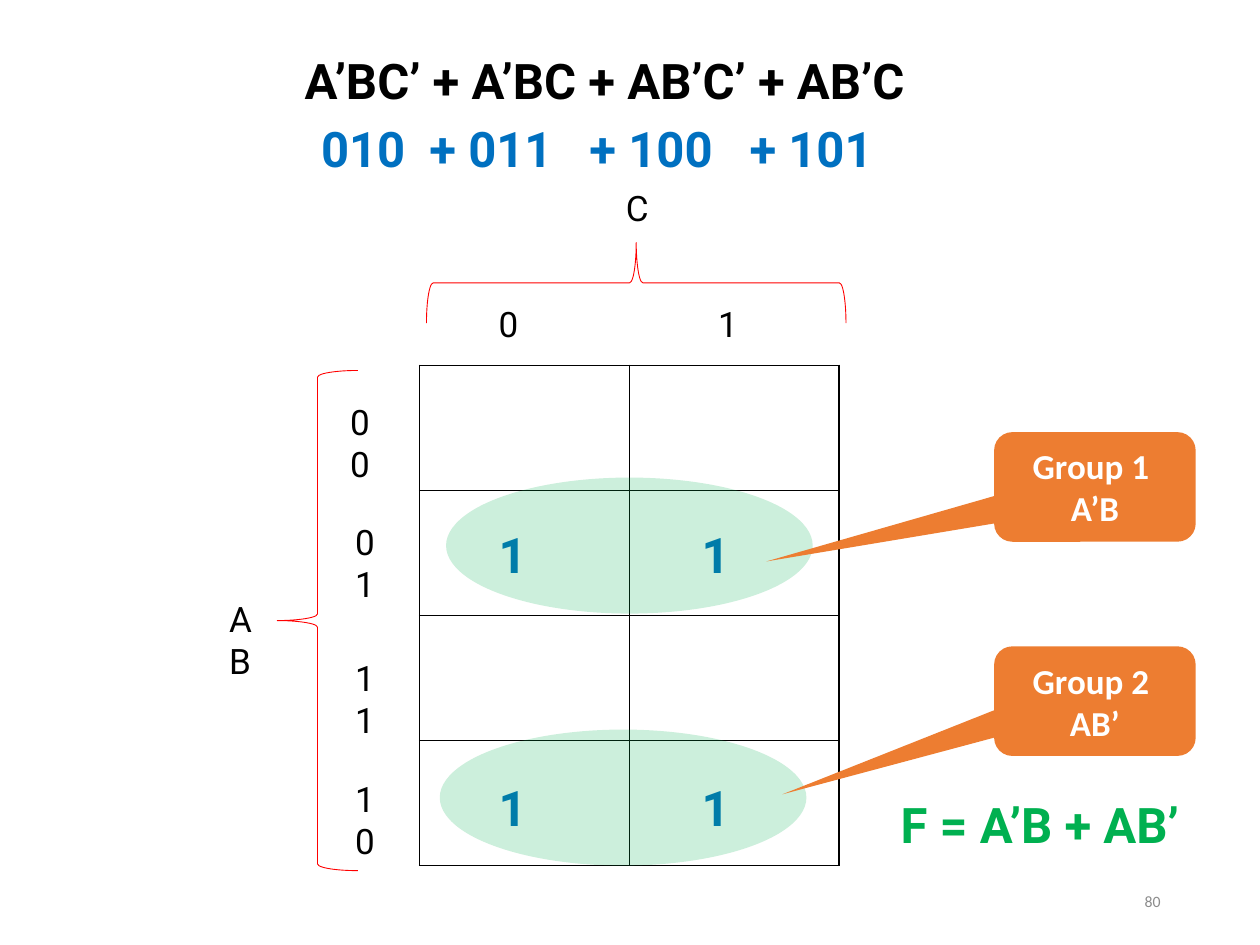
from lxml import etree
from pptx import Presentation
from pptx.dml.color import RGBColor
from pptx.enum.shapes import MSO_SHAPE
from pptx.enum.text import MSO_ANCHOR, PP_ALIGN
from pptx.oxml.ns import qn
from pptx.util import Inches, Pt

LEFT, CENTER, RIGHT = PP_ALIGN.LEFT, PP_ALIGN.CENTER, PP_ALIGN.RIGHT
TOP, MIDDLE = MSO_ANCHOR.TOP, MSO_ANCHOR.MIDDLE
ELLIPSE, BRACE = MSO_SHAPE.OVAL, MSO_SHAPE.RIGHT_BRACE
CALLOUT = MSO_SHAPE.ROUNDED_RECTANGULAR_CALLOUT

COLORS = {
    "black": "000000",
    "white": "FFFFFF",
    "gray": "8C8C8C",
    "red": "FF0000",
    "blue": "0070C0",
    "green": "00B050",
    "orange": "ED7D31",
}


def color(name):
    return RGBColor.from_string(COLORS[name])


class SlideBuilder:
    body_font = "Roboto"
    note_font = "Calibri"

    def __init__(self, slide):
        self.slide = slide

    def set_text(self, shape, lines, size, ink, bold=False, font=body_font,
                 align=LEFT, anchor=TOP, tabs=()):
        frame = shape.text_frame
        frame.word_wrap = True
        frame.vertical_anchor = anchor
        frame.text = lines[0]
        for line in lines[1:]:
            frame.add_paragraph().text = line
        for paragraph in frame.paragraphs:
            paragraph.alignment = align
            if tabs:
                stops = etree.SubElement(paragraph._p.get_or_add_pPr(), qn("a:tabLst"))
                for stop in tabs:
                    etree.SubElement(stops, qn("a:tab"), pos=str(Inches(stop)), algn="l")
            paragraph.font.name = font
            paragraph.font.size = Pt(size)
            paragraph.font.bold = bold
            paragraph.font.color.rgb = color(ink)

    def text(self, words, left, top, width, height, size=20, ink="black", **style):
        box = self.slide.shapes.add_textbox(
            Inches(left), Inches(top), Inches(width), Inches(height))
        self.set_text(box, [words], size, ink, **style)

    def shape(self, kind, left, top, width, height):
        shape = self.slide.shapes.add_shape(
            kind, Inches(left), Inches(top), Inches(width), Inches(height))
        shape.shadow.inherit = False
        shape.line.fill.background()
        return shape

    def brace(self, left, top, width, height, rotation):
        brace = self.shape(BRACE, left, top, width, height)
        brace.rotation = rotation
        brace.fill.background()
        brace.line.color.rgb = color("red")
        brace.line.width = Pt(0.5)

    def group_ellipse(self, left, top):
        ellipse = self.shape(ELLIPSE, left, top, 2.91, 1.08)
        ellipse.fill.solid()
        ellipse.fill.fore_color.rgb = color("green")
        tint = ellipse._element.spPr.find(qn("a:solidFill"))[0]
        etree.SubElement(tint, qn("a:alpha"), val="20000")

    def callout(self, lines, top, pointer):
        callout = self.shape(CALLOUT, 7.89, top, 1.6, 0.87)
        for index, value in enumerate(pointer):
            callout.adjustments[index] = value
        callout.fill.solid()
        callout.fill.fore_color.rgb = color("orange")
        self.set_text(callout, lines, 20, "white", bold=True, font=self.note_font,
                      align=CENTER, anchor=MIDDLE)

    def map_grid(self, rows, columns, left, top, width, height):
        table = self.slide.shapes.add_table(
            rows, columns, Inches(left), Inches(top), Inches(width), Inches(height)).table
        table.first_row = False
        table.horz_banding = False
        for cell in table.iter_cells():
            properties = cell._tc.get_or_add_tcPr()
            for side in ("lnL", "lnR", "lnT", "lnB"):
                border = etree.SubElement(properties, qn(f"a:{side}"), w=str(Pt(1)))
                fill = etree.SubElement(border, qn("a:solidFill"))
                etree.SubElement(fill, qn("a:srgbClr"), val=COLORS["black"])
            cell.fill.background()


def main():
    deck = Presentation()
    deck.slide_width, deck.slide_height = Inches(10), Inches(7.5)
    page = SlideBuilder(deck.slides.add_slide(deck.slide_layouts[6]))

    page.text("80", 7.06, 6.95, 2.25, 0.4, size=9, ink="gray",
              font=page.note_font, align=RIGHT, anchor=MIDDLE)
    page.map_grid(4, 2, 3.33, 2.9, 3.33, 3.97)

    for digit, left in (("0", 3.86), ("1", 5.6)):
        page.text(digit, left, 2.35, 0.35, 0.44)
    for digits, left, top in (("00", 2.68, 3.13), ("01", 2.72, 4.08),
                              ("11", 2.72, 5.16), ("10", 2.72, 6.12)):
        page.text(digits, left, top, 0.48, 0.44)

    page.brace(4.73, 0.58, 0.64, 3.33, 270)
    page.brace(2.2, 2.94, 0.64, 3.97, 180)
    page.text("AB", 1.72, 4.69, 0.5, 0.44)
    page.text("C", 4.87, 1.43, 0.37, 0.44)

    page.text("A’BC’ + A’BC + AB’C’ + AB’C", 2.32, 0.35, 5.72, 0.57, size=28, bold=True)
    page.text("\t".join(["010", "+ 011", "+ 100", "+ 101"]), 2.45, 0.89, 5.45, 0.57,
              size=28, ink="blue", bold=True, tabs=(0.86, 2.13, 3.4))

    for top in (4.11, 6.12):
        for left in (3.86, 5.47):
            page.text("1", left, top, 0.45, 0.57, size=28, ink="blue", bold=True)
    page.group_ellipse(3.54, 3.79)
    page.group_ellipse(3.49, 5.79)

    page.text("F = A’B + AB’", 7.05, 6.26, 2.83, 0.57, size=28, ink="green", bold=True)
    page.callout(["Group 1 ", "A’B"], 3.43, (-1.63, 0.68))
    page.callout(["Group 2 ", "AB’"], 5.13, (-1.55, 0.85))

    deck.save("out.pptx")


if __name__ == "__main__":
    main()
